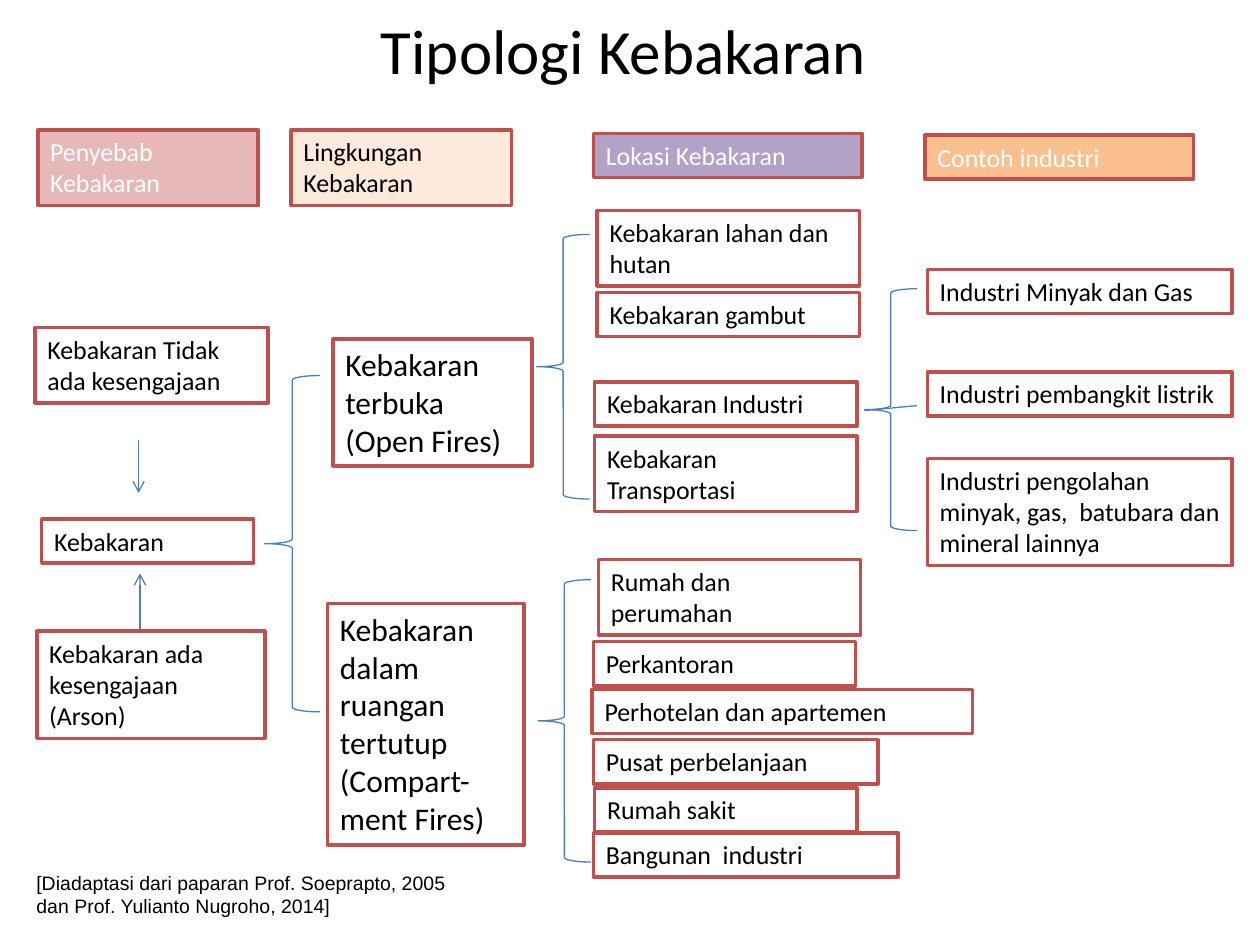
import pptx
import pptx.util
import pptx.dml.color
import pptx.enum.shapes
import pptx.enum.text
import lxml.etree
import pptx.oxml.ns

Pt = pptx.util.Pt
SHAPE = pptx.enum.shapes.MSO_SHAPE
COLORS = {
    "black": "000000", "white": "FFFFFF", "border": "C0504D", "link": "4B7EBC",
    "pink": "E6B9B8", "cream": "FDEADA", "purple": "B3A2C7", "orange": "FAC090",
}


def rgb(name):
    return pptx.dml.color.RGBColor.from_string(COLORS[name])


def add_text(sp, paragraphs, size, color="black", font="Calibri"):
    tf = sp.text_frame
    tf.word_wrap = True
    tf.auto_size = pptx.enum.text.MSO_AUTO_SIZE.SHAPE_TO_FIT_TEXT
    tf.vertical_anchor = pptx.enum.text.MSO_ANCHOR.TOP
    for i, text in enumerate(paragraphs):
        p = tf.paragraphs[0] if i == 0 else tf.add_paragraph()
        p.text = text
        p.alignment = pptx.enum.text.PP_ALIGN.LEFT
        p.font.size, p.font.name = Pt(size), font
        p.font.color.rgb = rgb(color)


def add_box(s, x, y, w, lines, *paragraphs, size=14.8, fill="white", color="black"):
    """Bordered label whose height follows its number of text lines."""
    h = 7.2 + lines * (18 if size < 18 else 21.8)
    sp = s.shapes.add_shape(SHAPE.RECTANGLE, Pt(x), Pt(y), Pt(w), Pt(h))
    sp.shadow.inherit = False
    sp.fill.solid()
    sp.fill.fore_color.rgb = rgb(fill)
    sp.line.color.rgb = rgb("border")
    sp.line.width = Pt(2)
    add_text(sp, paragraphs, size, color)


def add_brace(s, x, y, w, h):
    sp = s.shapes.add_shape(SHAPE.LEFT_BRACE, Pt(x), Pt(y), Pt(w), Pt(h))
    sp.shadow.inherit = False
    sp.fill.background()
    sp.line.color.rgb = rgb("link")
    sp.line.width = Pt(0.75)


def add_line(s, x1, y1, x2, y2, arrow=False):
    line = s.shapes.add_connector(
        pptx.enum.shapes.MSO_CONNECTOR.STRAIGHT, Pt(x1), Pt(y1), Pt(x2), Pt(y2))
    line.line.color.rgb = rgb("link")
    line.line.width = Pt(0.75)
    qn = pptx.oxml.ns.qn
    if arrow:
        lxml.etree.SubElement(line.line._get_or_add_ln(), qn("a:tailEnd"), type="arrow")
    lxml.etree.SubElement(line._element.spPr, qn("a:effectLst"))


def add_title(s, x, y, w, h):
    sp = s.shapes.title
    sp.left, sp.top, sp.width, sp.height = Pt(x), Pt(y), Pt(w), Pt(h)
    tf = sp.text_frame
    tf.text = "Tipologi Kebakaran"
    tf.auto_size = pptx.enum.text.MSO_AUTO_SIZE.NONE
    tf.vertical_anchor = pptx.enum.text.MSO_ANCHOR.MIDDLE
    p = tf.paragraphs[0]
    p.alignment = pptx.enum.text.PP_ALIGN.CENTER
    p.font.size, p.font.name = Pt(36), "Calibri"
    p.font.color.rgb = rgb("black")


def add_headers(s, x, y):
    for dx, dy, w, lines, text, fill, color in (
        (0, 0, 126, 2, "Penyebab Kebakaran", "pink", "white"),
        (144.7, 0, 126, 2, "Lingkungan Kebakaran", "cream", "black"),
        (317.5, 2, 153.4, 1, "Lokasi Kebakaran", "purple", "white"),
        (507, 3, 153.4, 1, "Contoh industri", "orange", "white"),
    ):
        add_box(s, x + dx, y + dy, w, lines, text, fill=fill, color=color)


def add_causes(s, x, y):
    add_box(s, x, y, 133.2, 2, "Kebakaran Tidak ada kesengajaan")
    add_line(s, x + 59.2, y + 64, x + 59.2, y + 94.5, arrow=True)
    add_box(s, x + 3.8, y + 109.4, 121, 1, "Kebakaran")
    add_line(s, x + 60, y + 173, x + 60, y + 140.5, arrow=True)
    add_box(s, x + 1, y + 173.5, 130.3, 3, "Kebakaran ada kesengajaan (Arson)")


def add_environments(s, x, y):
    add_brace(s, x, y + 21, 31.7, 192.2)
    add_box(s, x + 39, y, 113.8, 3, "Kebakaran terbuka", "(Open Fires)", size=18)
    add_box(s, x + 36, y + 151.3, 112.3, 6, "Kebakaran dalam ruangan tertutup",
            "(Compart-ment Fires)", size=18)


def add_locations(s, x, y):
    add_brace(s, x, y + 13.8, 30.2, 151.2)
    add_brace(s, x + 0.7, y + 211.1, 30.2, 161.3)
    for dx, dy, w, lines, text in (
        (34.6, 0, 149.8, 2, "Kebakaran lahan dan hutan"),
        (34.6, 47, 149.8, 1, "Kebakaran gambut"),
        (33.1, 98, 149.8, 1, "Kebakaran Industri"),
        (33.1, 129, 149.8, 2, "Kebakaran Transportasi"),
        (35.3, 199.5, 149.8, 2, "Rumah dan perumahan"),
        (32.4, 246.5, 149.8, 1, "Perkantoran"),
        (31.7, 273.7, 217.4, 1, "Perhotelan dan apartemen"),
        (32.4, 302.5, 162.7, 1, "Pusat perbelanjaan"),
        (33.1, 330, 149.8, 1, "Rumah sakit"),
        (32.4, 355.7, 174.2, 1, "Bangunan  industri"),
    ):
        add_box(s, x + dx, y + dy, w, lines, text)


def add_industries(s, x, y):
    add_brace(s, x, y + 11, 30.2, 138.2)
    add_line(s, x, y + 80.6, x + 30.2, y + 77.8)
    for dy, lines, text in (
        (0, 1, "Industri Minyak dan Gas"),
        (58.5, 1, "Industri pembangkit listrik"),
        (108, 3, "Industri pengolahan minyak, gas,  batubara dan mineral lainnya"),
    ):
        add_box(s, x + 36, y + dy, 174.2, lines, text)


def add_source(s, x, y, w, h):
    sp = s.shapes.add_textbox(Pt(x), Pt(y), Pt(w), Pt(h))
    add_text(sp, ["[Diadaptasi dari paparan Prof. Soeprapto, 2005 "
                  "dan Prof. Yulianto Nugroho, 2014]"], 11.1, font="Arial")


def main():
    prs = pptx.Presentation()
    prs.slide_width, prs.slide_height = Pt(720), Pt(540)
    s = prs.slides.add_slide(prs.slide_layouts[0])
    subtitle = s.placeholders[1].element
    subtitle.getparent().remove(subtitle)
    add_title(s, 10, 5, 692.6, 46.8)
    add_headers(s, 21.6, 74.2)
    add_causes(s, 20, 187.2)
    add_environments(s, 151.2, 193.6)
    add_locations(s, 306.7, 120.2)
    add_industries(s, 493.9, 154)
    add_source(s, 13.7, 494, 267.8, 33.8)
    prs.save("out.pptx")


if __name__ == "__main__":
    main()
